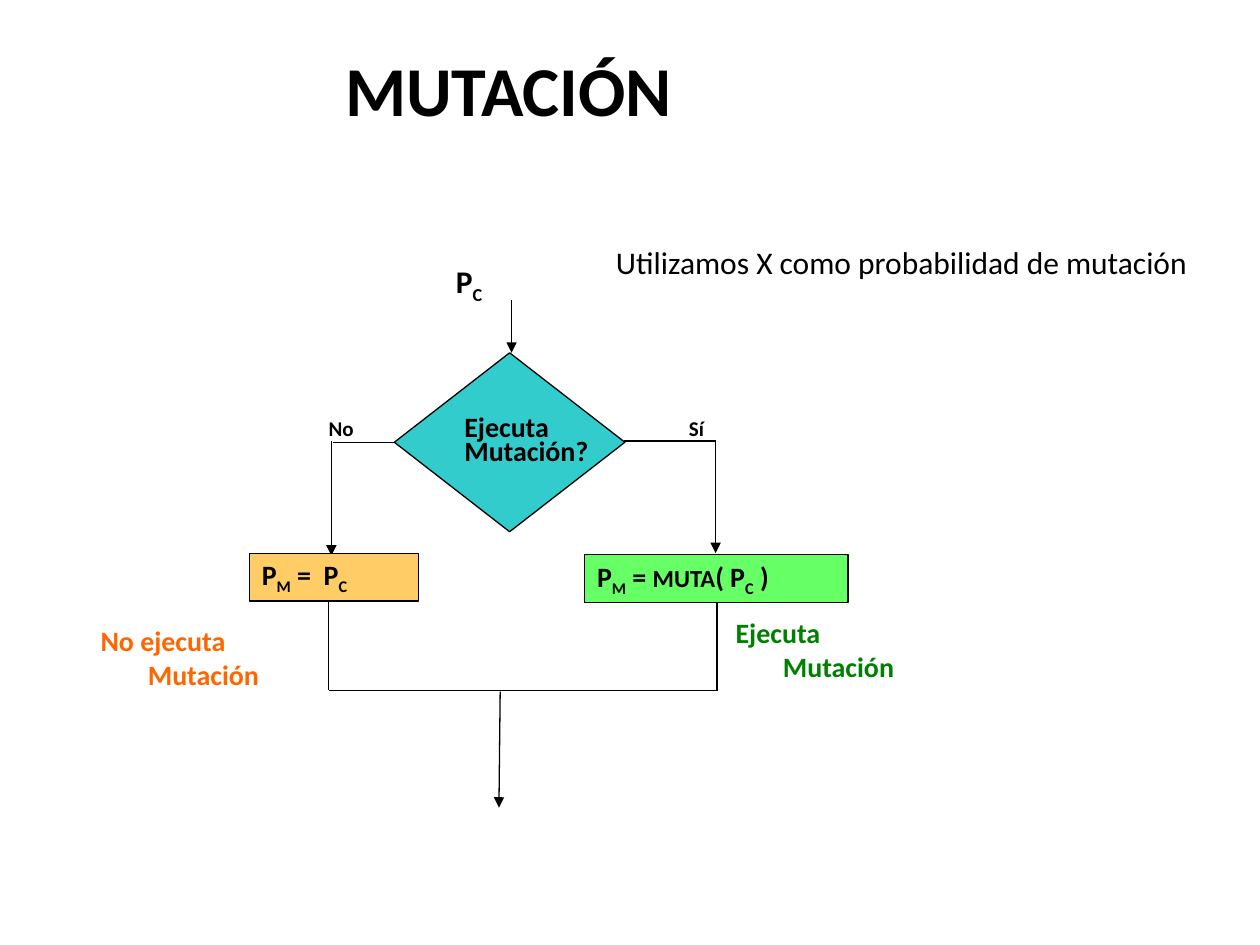
from pptx import Presentation, util as u
from pptx.dml.color import RGBColor
from pptx.enum import shapes, text
from pptx.oxml import ns
from lxml import etree

THEME = {
    "font": "Calibri", "line_width": 0.75,
    "black": "000000", "teal": "33CCCC", "green": "66FF66", "amber": "FFCC66",
    "dark_green": "008000", "orange": "FF6600",
    "title": 40, "body": 18, "box": 16, "function": 14, "branch": 12,
}
SUBSCRIPT = "-25000"
HANGING = 3.75  # indent, in grid units

# The slide is a grid of 100 columns by 75 rows; boxes are (left, top, width, height)
COLUMNS, ROWS = 100, 75

# A paragraph is a list of runs: (text, size name, is subscript)
PC = [("P", "body", False), ("C", "body", True)]
MUTATED = [("P", "box", False), ("M", "box", True), (" = ", "box", False),
           ("MUTA", "function", False), ("( P", "box", False),
           ("C", "box", True), (" )", "box", False)]
UNCHANGED = [("P", "box", False), ("M", "box", True),
             (" =  P", "box", False), ("C", "box", True)]
QUESTION = [[("Ejecuta", "box", False)], [("Mutación?", "box", False)]]

# Flowchart nodes: preset, box, fill, paragraphs, line spacing
NODES = [
    ("DIAMOND", (31.3, 28, 18.3, 14.2), "teal", QUESTION, 0.7),
    ("RECTANGLE", (46.4, 44, 20.9, 3.8), "green", [MUTATED], None),
    ("RECTANGLE", (19.8, 43.9, 13.4, 3.8), "amber", [UNCHANGED], None),
]

# Labels: box, paragraph, colour, options
LABELS = [
    ((20.3, 3.1, 40.1, 7.9), [("MUTACIÓN", "title", False)], "black",
     {"align": text.PP_ALIGN.CENTER, "anchor": text.MSO_ANCHOR.MIDDLE}),
    ((47.9, 18.8, 47.5, 4), [("Utilizamos X como probabilidad de mutación", "body", False)],
     "black", {"wrap": False, "bold": False}),
    ((35.2, 20.3, 5.7, 4.4), PC, "black", {}),
    ((53.7, 32.5, 5.7, 3), [("Sí", "branch", False)], "black", {}),
    ((25.1, 32.5, 5.7, 3), [("No", "branch", False)], "black", {}),
    ((57.4, 48.4, 16.9, 6.4), [("Ejecuta Mutación", "box", False)], "dark_green",
     {"hanging": True}),
    ((7, 49, 16.9, 6.4), [("No ejecuta Mutación", "box", False)], "orange",
     {"hanging": True}),
]

# Connectors: start, end, has arrowhead
CONNECTORS = [
    ((40.6, 23.8), (40.6, 28), True),      # input
    ((49.5, 35), (56.8, 35), False),       # yes branch
    ((56.8, 34.9), (56.8, 43.9), True),
    ((31.4, 35.1), (26.4, 35.1), False),   # no branch
    ((26.3, 35), (26.3, 44.1), True),
    ((26.1, 47.7), (26.1, 54.8), False),   # merge
    ((56.9, 47.7), (56.9, 54.8), False),
    ((26.1, 54.8), (57, 54.8), False),
    ((39.7, 54.9), (39.6, 64.1), True),    # output
]

presentation = Presentation()
presentation.slide_width, presentation.slide_height = u.Inches(10), u.Inches(7.5)
slide = presentation.slides.add_slide(presentation.slide_layouts[6])


def grid(*lengths):
    """Turn alternating column and row counts into slide lengths."""
    units = (presentation.slide_width / COLUMNS, presentation.slide_height / ROWS)
    return [u.Emu(round(length * units[i % 2])) for i, length in enumerate(lengths)]


def color(name):
    return RGBColor.from_string(THEME[name])


def write(shape, paragraphs, ink="black", align=text.PP_ALIGN.LEFT,
          anchor=text.MSO_ANCHOR.TOP, wrap=True, bold=True, hanging=False, spacing=None):
    frame = shape.text_frame
    frame.word_wrap, frame.vertical_anchor = wrap, anchor
    for index, runs in enumerate(paragraphs):
        paragraph = frame.add_paragraph() if index else frame.paragraphs[0]
        paragraph.alignment = align
        if spacing:
            paragraph.line_spacing = spacing
        if hanging:
            indent = grid(HANGING)[0]
            properties = paragraph._p.get_or_add_pPr()
            properties.set("marL", str(indent))
            properties.set("indent", str(-indent))
        for words, size, subscript in runs:
            run = paragraph.add_run()
            run.text = words
            run.font.name, run.font.bold = THEME["font"], bold
            run.font.size = u.Pt(THEME[size])
            run.font.color.rgb = color(ink)
            if subscript:
                run._r.get_or_add_rPr().set("baseline", SUBSCRIPT)


def outline(shape):
    shape.line.color.rgb = color("black")
    shape.line.width = u.Pt(THEME["line_width"])


# Connectors
for start, end, arrow in CONNECTORS:
    connector = slide.shapes.add_connector(
        shapes.MSO_CONNECTOR.STRAIGHT, *grid(*start, *end))
    outline(connector)
    if arrow:
        etree.SubElement(connector.line._get_or_add_ln(), ns.qn("a:tailEnd"),
                         type="triangle", w="med", len="med")
    etree.SubElement(connector._element.spPr, ns.qn("a:effectLst"))

# Flowchart nodes
for preset, box, fill, paragraphs, spacing in NODES:
    node = slide.shapes.add_shape(getattr(shapes.MSO_SHAPE, preset), *grid(*box))
    node.shadow.inherit = False
    node.fill.solid()
    node.fill.fore_color.rgb = color(fill)
    outline(node)
    write(node, paragraphs, anchor=text.MSO_ANCHOR.MIDDLE, wrap=False,
          hanging=True, spacing=spacing)

# Title and labels
for box, runs, ink, options in LABELS:
    write(slide.shapes.add_textbox(*grid(*box)), [runs], ink, **options)

presentation.save("out.pptx")
